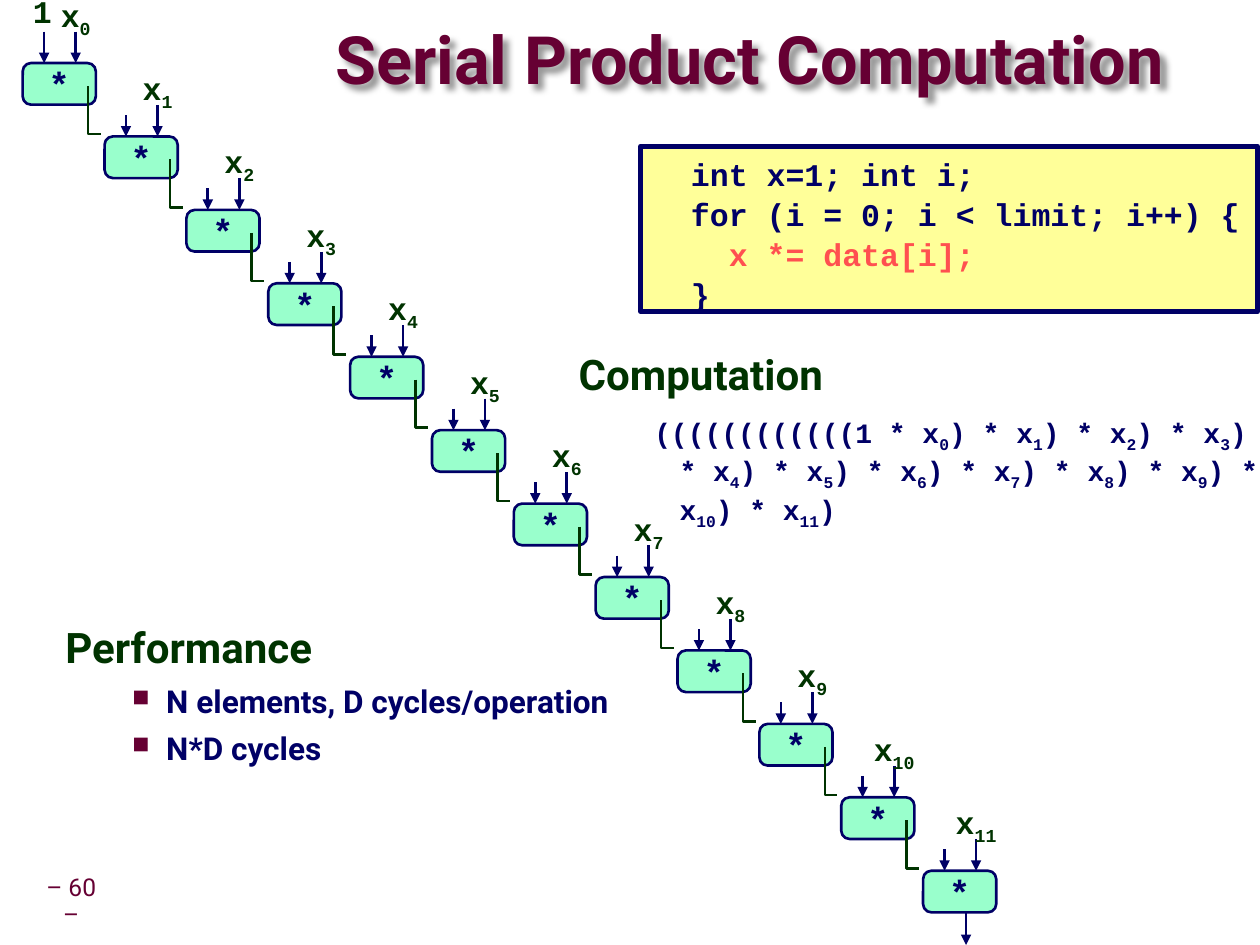
from dataclasses import dataclass
from typing import Optional

from lxml import etree
from pptx import Presentation
from pptx import util as u
from pptx.dml.color import RGBColor
from pptx.enum import shapes, text
from pptx.oxml import ns

COLORS = {"maroon": "660033", "green": "003300", "navy": "000066",
          "mint": "99FFCC", "yellow": "FFFF99", "red": "FF5050", "black": "000000"}
SANS, MONO = "Roboto", "Courier New"
LEFT, CENTER = text.PP_ALIGN.LEFT, text.PP_ALIGN.CENTER
TOP, MIDDLE = text.MSO_ANCHOR.TOP, text.MSO_ANCHOR.MIDDLE

FACTORS = 12
FIRST_LEFT, FIRST_TOP = 0.18, 0.5
STEP_X, STEP_Y = 0.649, 0.582
NODE_WIDTH, NODE_HEIGHT = 0.58, 0.33


@dataclass(frozen=True)
class Span:
    text: str
    size: float
    color: str
    font: str = SANS
    bold: bool = True
    subscript: bool = False


@dataclass(frozen=True)
class Para:
    spans: list[Span]
    align: text.PP_ALIGN = LEFT
    spacing: Optional[float] = None
    before: float = 0
    margin: float = 0
    hanging: float = 0
    bullet: bool = False


@dataclass(frozen=True)
class Area:
    left: float
    top: float
    width: float
    height: float

    def lengths(self) -> list[u.Length]:
        return [u.Inches(v) for v in (self.left, self.top, self.width, self.height)]


def rgb(name: str) -> RGBColor:
    return RGBColor.from_string(COLORS[name])


def add_element(parent, tag: str, **attributes: str):
    element = etree.SubElement(parent, ns.qn(tag))
    for key, value in attributes.items():
        element.set(key, value)
    return element


def set_indent(paragraph, para: Para) -> None:
    """Set the hanging indent and the square bullet."""
    properties = paragraph._p.get_or_add_pPr()
    properties.set("marL", str(u.Inches(para.margin)))
    properties.set("indent", str(-u.Inches(para.hanging)))
    if para.bullet:
        color = add_element(properties, "a:buClr")
        add_element(color, "a:srgbClr", val=COLORS["maroon"])
        add_element(properties, "a:buSzPct", val="75000")
        add_element(properties, "a:buChar", char="■")


def write(box, paras: list[Para], inset_x: float = 0.1, inset_y: float = 0.05,
          anchor: text.MSO_ANCHOR = TOP, wrap: bool = False) -> None:
    frame = box.text_frame
    frame.word_wrap, frame.vertical_anchor = wrap, anchor
    frame.margin_left = frame.margin_right = u.Inches(inset_x)
    frame.margin_top = frame.margin_bottom = u.Inches(inset_y)
    for index, para in enumerate(paras):
        paragraph = frame.add_paragraph() if index else frame.paragraphs[0]
        set_indent(paragraph, para)
        paragraph.alignment = para.align
        paragraph.space_before = u.Pt(para.before)
        if para.spacing:
            paragraph.line_spacing = para.spacing
        for span in para.spans:
            run = paragraph.add_run()
            run.text = span.text
            run.font.name, run.font.size = span.font, u.Pt(span.size)
            run.font.bold = span.bold
            run.font.color.rgb = rgb(span.color)
            if span.subscript:
                run._r.get_or_add_rPr().set("baseline", "-25000")


def add_text(page, area: Area, paras: list[Para], inset_x: float = 0.1,
             inset_y: float = 0.05, anchor: text.MSO_ANCHOR = TOP, wrap: bool = False):
    box = page.shapes.add_textbox(*area.lengths())
    write(box, paras, inset_x, inset_y, anchor, wrap)
    return box


def add_panel(page, preset: shapes.MSO_SHAPE, area: Area, fill: str, weight: float):
    panel = page.shapes.add_shape(preset, *area.lengths())
    panel.shadow.inherit = False
    panel.fill.solid()
    panel.fill.fore_color.rgb = rgb(fill)
    panel.line.color.rgb = rgb("navy")
    panel.line.width = u.Pt(weight)
    return panel


def add_down_arrow(page, x: float, top: float, bottom: float) -> None:
    arrow = page.shapes.add_connector(
        shapes.MSO_CONNECTOR.STRAIGHT,
        u.Inches(x), u.Inches(top), u.Inches(x), u.Inches(bottom))
    arrow.line.color.rgb = rgb("navy")
    arrow.line.width = u.Pt(1.5)
    add_element(arrow.line._get_or_add_ln(), "a:tailEnd", type="triangle")
    add_element(arrow._element.spPr, "a:effectLst")


def add_elbow(page, x: float, y: float) -> None:
    """Carry the previous product down and right to the next node."""
    builder = page.shapes.build_freeform(u.Inches(x), u.Inches(y))
    builder.add_line_segments(
        [(u.Inches(x), u.Inches(y + 0.38)), (u.Inches(x + 0.1), u.Inches(y + 0.38))],
        close=False)
    elbow = builder.convert_to_shape()
    elbow.shadow.inherit = False
    elbow.fill.background()
    elbow.line.color.rgb = rgb("green")
    elbow.line.width = u.Pt(1.5)


def add_operand(page, left: float, top: float, width: float, name: str,
                index: str = "") -> None:
    spans = [Span(name, 18, "green", MONO)]
    if index:
        spans.append(Span(index, 18, "green", MONO, subscript=True))
    add_text(page, Area(left, top, width, 0.38), [Para(spans, CENTER, 0.9)], 0.05)


def add_stage(page, index: int) -> None:
    """Draw one multiplication with its two inputs."""
    left, top = FIRST_LEFT + STEP_X * index, FIRST_TOP + STEP_Y * index
    node = add_panel(page, shapes.MSO_SHAPE.ROUNDED_RECTANGLE,
                     Area(left, top, NODE_WIDTH, NODE_HEIGHT), "mint", 1.5)
    node.adjustments[0] = 0.2
    write(node, [Para([Span("*", 20, "navy", MONO)], CENTER)], anchor=MIDDLE)
    add_down_arrow(page, left + 0.17, top - (0.17 if index else 0.25), top)
    add_down_arrow(page, left + 0.42, top - 0.25, top)
    if index:
        add_elbow(page, left - 0.13, top - 0.4)
    else:
        add_operand(page, left + 0.03, top - 0.58, 0.25, "1")
    width = 0.25 + 0.1 * len(str(index))
    add_operand(page, left + 0.42 - width / 2, top - 0.58, width, "x", str(index))


def heading(words: str) -> Para:
    return Para([Span(words, 24, "green")], spacing=0.95, margin=0.42, hanging=0.42)


def product_spans() -> list[Span]:
    spans = [Span(" ", 20, "navy")]
    for index in range(FACTORS):
        lead = ") * x" if index else "(" * FACTORS + "1 * x"
        spans += [Span(lead, 16, "navy", MONO),
                  Span(str(index), 16, "navy", MONO, subscript=True)]
    return spans + [Span(")", 16, "navy", MONO)]


def add_title(page) -> None:
    title = add_text(page, Area(2.66, 0.08, 7.3, 0.85),
                     [Para([Span("Serial Product Computation", 38, "maroon")], spacing=0.87)],
                     0, 0, MIDDLE, True)
    effects = add_element(title._element.spPr, "a:effectLst")
    shadow = add_element(effects, "a:outerShdw", blurRad="38100", dist="50800", dir="2700000")
    color = add_element(shadow, "a:srgbClr", val=COLORS["black"])
    add_element(color, "a:alpha", val="40000")


def main() -> None:
    deck = Presentation()
    deck.slide_width, deck.slide_height = u.Inches(9.99), u.Inches(7.49)
    page = deck.slides.add_slide(deck.slide_layouts[6])

    add_text(page, Area(0.23, 6.99, 0.67, 0.32),
             [Para([Span("– 60 –", 14, "maroon", bold=False)], CENTER, 0.9)],
             0.05, anchor=MIDDLE)
    add_title(page)
    add_text(page, Area(4.49, 2.74, 5.66, 2.33),
             [heading("Computation"),
              Para(product_spans(), before=5, margin=0.8, hanging=0.27)], wrap=True)
    for index in range(FACTORS):
        add_stage(page, index)
    add_down_arrow(page, 7.66, 7.24, 7.49)

    code = [("  int x=1; int i;", "navy"), ("  for (i = 0; i < limit; i++) {", "navy"),
            ("    x *= data[i];", "red"), ("  }", "navy")]
    listing = add_panel(page, shapes.MSO_SHAPE.RECTANGLE,
                        Area(5.08, 1.16, 4.89, 1.31), "yellow", 3)
    write(listing, [Para([Span(line, 18, color, MONO)], spacing=1.06) for line, color in code])

    points = ["N elements, D cycles/operation", "N*D cycles"]
    add_text(page, Area(0.42, 4.91, 5.66, 2.33),
             [heading("Performance")]
             + [Para([Span(point, 18, "navy")], before=5, margin=0.8, hanging=0.27, bullet=True)
                for point in points], wrap=True)
    deck.save("out.pptx")


if __name__ == "__main__":
    main()
